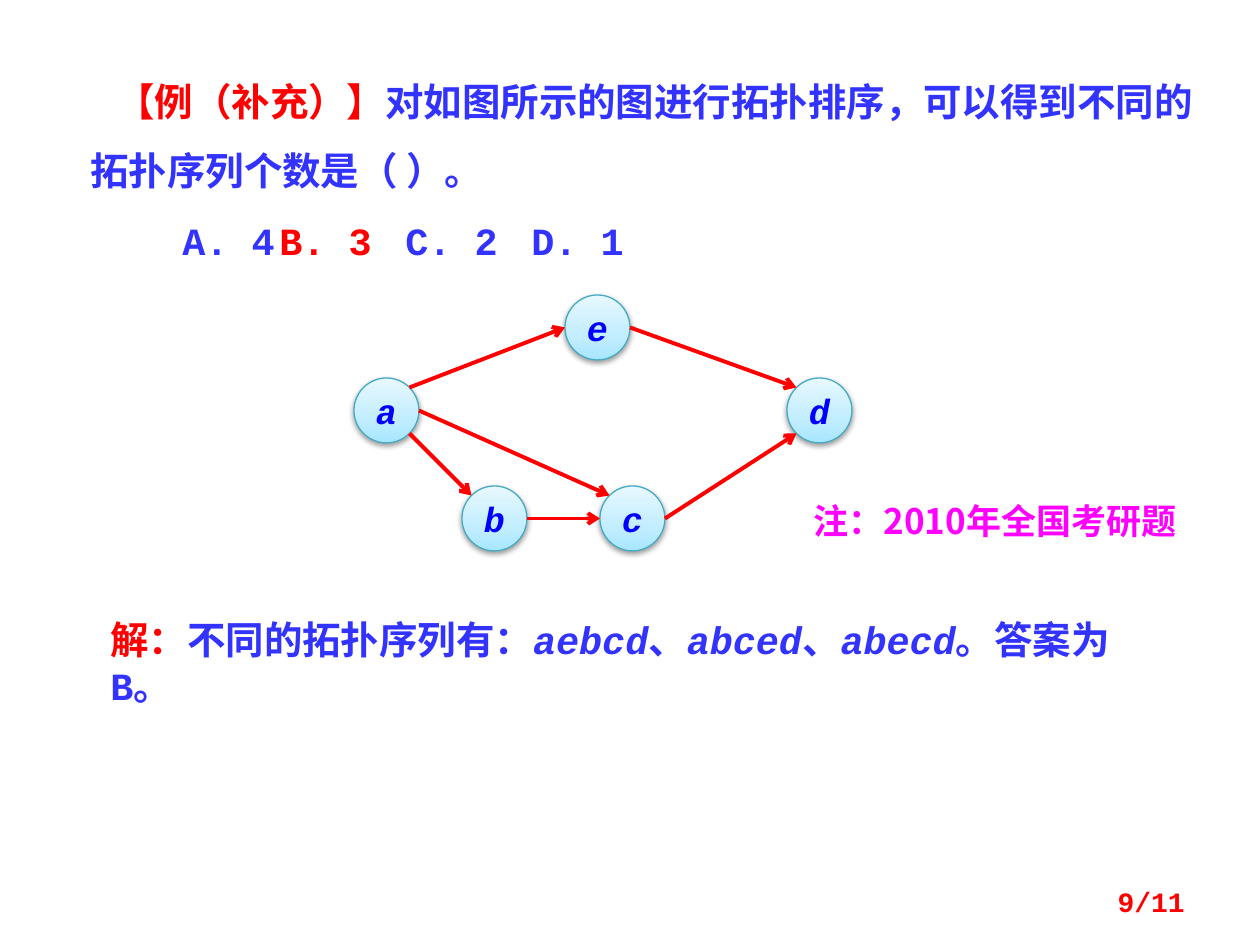
from dataclasses import dataclass
from math import cos, radians, sin

from lxml import etree
from pptx import Presentation
from pptx.dml.color import RGBColor
from pptx.enum.shapes import MSO_CONNECTOR, MSO_SHAPE
from pptx.enum.text import MSO_ANCHOR, MSO_AUTO_SIZE, PP_ALIGN
from pptx.oxml import parse_xml
from pptx.oxml.ns import nsdecls, qn
from pptx.util import Emu, Pt

ELLIPSE = MSO_SHAPE.OVAL
STRAIGHT = MSO_CONNECTOR.STRAIGHT
LEFT, CENTER, RIGHT = PP_ALIGN.LEFT, PP_ALIGN.CENTER, PP_ALIGN.RIGHT
TOP, MIDDLE = MSO_ANCHOR.TOP, MSO_ANCHOR.MIDDLE
GROW, FIXED = MSO_AUTO_SIZE.SHAPE_TO_FIT_TEXT, MSO_AUTO_SIZE.NONE

PX_PER_INCH = 126
NODE_SIZE = 65
BLANK_LAYOUT = 6


@dataclass(frozen=True)
class Theme:
    """Colours, fonts and type sizes of the slide."""
    mono: str = "Courier New"
    cjk: str = "Noto Sans CJK SC"
    red: str = "FF0000"
    blue: str = "3333FF"
    magenta: str = "FF00FF"
    node_text: str = "0000FF"
    node_line: str = "46AAC5"
    node_stops: tuple = ((0, "A7E6FF"), (35, "C1EDFF"), (100, "E7F8FF"))
    body: int = 22
    label: int = 20
    page: int = 16


THEME = Theme()

NODES = {"e": (565, 295), "a": (354, 378), "b": (462, 486),
         "c": (600, 486), "d": (787, 378)}
EDGES = [("a", 45, "b", 225), ("a", -45, "e", 180), ("e", 0, "d", 225),
         ("b", 0, "c", 180), ("c", 0, "d", 135), ("a", 0, "c", 225)]


def px(length):
    """Turn pixels into EMU."""
    return Emu(round(length * 914400 / PX_PER_INCH))


def add_run(paragraph, text, color, size, font=THEME.mono, italic=False):
    """Add a bold run in the given style."""
    run = paragraph.add_run()
    run.text = text
    run.font.name = font
    run.font.size = Pt(size)
    run.font.bold = True
    run.font.italic = italic
    run.font.color.rgb = RGBColor.from_string(color)
    east_asian = etree.SubElement(run.font._element, qn("a:ea"))
    east_asian.set("typeface", THEME.cjk)


def add_text(slide, box, align=LEFT, anchor=TOP, auto_size=GROW):
    """Add a wrapping text box and return its text frame."""
    frame = slide.shapes.add_textbox(*map(px, box)).text_frame
    frame.word_wrap = True
    frame.auto_size = auto_size
    frame.vertical_anchor = anchor
    frame.paragraphs[0].alignment = align
    return frame


def set_indent(paragraph, indent, tab_stops=()):
    """Set the first-line indent and tab stops of a paragraph."""
    properties = paragraph._p.get_or_add_pPr()
    properties.set("marL", "0")
    properties.set("indent", str(px(indent)))
    if tab_stops:
        tabs = etree.SubElement(properties, qn("a:tabLst"))
        for stop in tab_stops:
            etree.SubElement(tabs, qn("a:tab"), pos=str(px(stop)), algn="l")


def add_question(slide):
    """Add the question with its row of answers."""
    frame = add_text(slide, (78, 49, 1152, 214))
    question, answers = frame.paragraphs[0], frame.add_paragraph()
    question.line_spacing = answers.line_spacing = 1.5
    set_indent(question, 26)
    add_run(question, "【例（补充）】", THEME.red, THEME.body)
    add_run(question, "对如图所示的图进行拓扑排序，可以得到不同的拓扑序列个数是（ ）。",
            THEME.blue, THEME.body)
    set_indent(answers, 92, (378, 630, 882))
    add_run(answers, "A. 4\t", THEME.blue, THEME.body)
    add_run(answers, "B. 3", THEME.red, THEME.body)
    add_run(answers, "\tC. 2\tD. 1", THEME.blue, THEME.body)


def add_node(shapes, name, left, top):
    """Add a shaded round vertex with its letter."""
    node = shapes.add_shape(ELLIPSE, px(left), px(top), px(NODE_SIZE), px(NODE_SIZE))
    properties = node._element.spPr
    stops = "".join(f'<a:gs pos="{position * 1000}"><a:srgbClr val="{color}"/></a:gs>'
                    for position, color in THEME.node_stops)
    properties.append(parse_xml(
        f'<a:gradFill {nsdecls("a")} rotWithShape="1"><a:gsLst>{stops}</a:gsLst>'
        '<a:lin ang="16200000" scaled="0"/></a:gradFill>'))
    node.line.color.rgb = RGBColor.from_string(THEME.node_line)
    node.line.width = Pt(0.75)
    node.shadow.inherit = False
    properties.find(qn("a:effectLst")).append(parse_xml(
        f'<a:outerShdw {nsdecls("a")} blurRad="40000" dist="20000" dir="5400000" '
        'rotWithShape="0"><a:srgbClr val="000000"><a:alpha val="38000"/>'
        '</a:srgbClr></a:outerShdw>'))
    frame = node.text_frame
    frame.word_wrap = False
    frame.vertical_anchor = MIDDLE
    letter = frame.paragraphs[0]
    letter.alignment = CENTER
    add_run(letter, name, THEME.node_text, THEME.label, italic=True)


def rim_point(name, angle):
    """Return the point on a vertex's rim at a clockwise angle."""
    left, top = NODES[name]
    radius = NODE_SIZE / 2
    return (px(left + radius + radius * cos(radians(angle))),
            px(top + radius + radius * sin(radians(angle))))


def add_edge(shapes, source, source_angle, target, target_angle):
    """Add an arrow between the rims of two vertices."""
    edge = shapes.add_connector(STRAIGHT, *rim_point(source, source_angle),
                                *rim_point(target, target_angle))
    edge.line.color.rgb = RGBColor.from_string(THEME.red)
    edge.line.width = Pt(2.25)
    properties = edge._element.spPr
    etree.SubElement(properties.find(qn("a:ln")), qn("a:tailEnd"), type="arrow")
    etree.SubElement(properties, qn("a:effectLst"))


def add_graph(slide):
    """Add the directed graph as one group."""
    shapes = slide.shapes.add_group_shape().shapes
    for name, (left, top) in NODES.items():
        add_node(shapes, name, left, top)
    for edge in EDGES:
        add_edge(shapes, *edge)


def add_solution(slide):
    """Add the solution line with its sequences in italics."""
    solution = add_text(slide, (98, 610, 1074, 59)).paragraphs[0]
    add_run(solution, "解：", THEME.red, THEME.body)
    add_run(solution, "不同的拓扑序列有：", THEME.blue, THEME.body)
    for sequence, ending in (("aebcd", "、"), ("abced", "、"), ("abecd", "。答案为B。")):
        add_run(solution, sequence, THEME.blue, THEME.body, italic=True)
        add_run(solution, ending, THEME.blue, THEME.body)


def main():
    """Build and save the slide."""
    presentation = Presentation()
    presentation.slide_width, presentation.slide_height = px(1260), px(945)
    slide = presentation.slides.add_slide(presentation.slide_layouts[BLANK_LAYOUT])
    add_question(slide)
    add_graph(slide)
    add_solution(slide)
    note = add_text(slide, (798, 493, 394, 55), CENTER)
    add_run(note.paragraphs[0], "注：2010年全国考研题", THEME.magenta, THEME.label, THEME.cjk)
    page = add_text(slide, (903, 876, 294, 50), RIGHT, MIDDLE, FIXED)
    add_run(page.paragraphs[0], "9/11", THEME.red, THEME.page)
    presentation.save("out.pptx")


if __name__ == "__main__":
    main()
